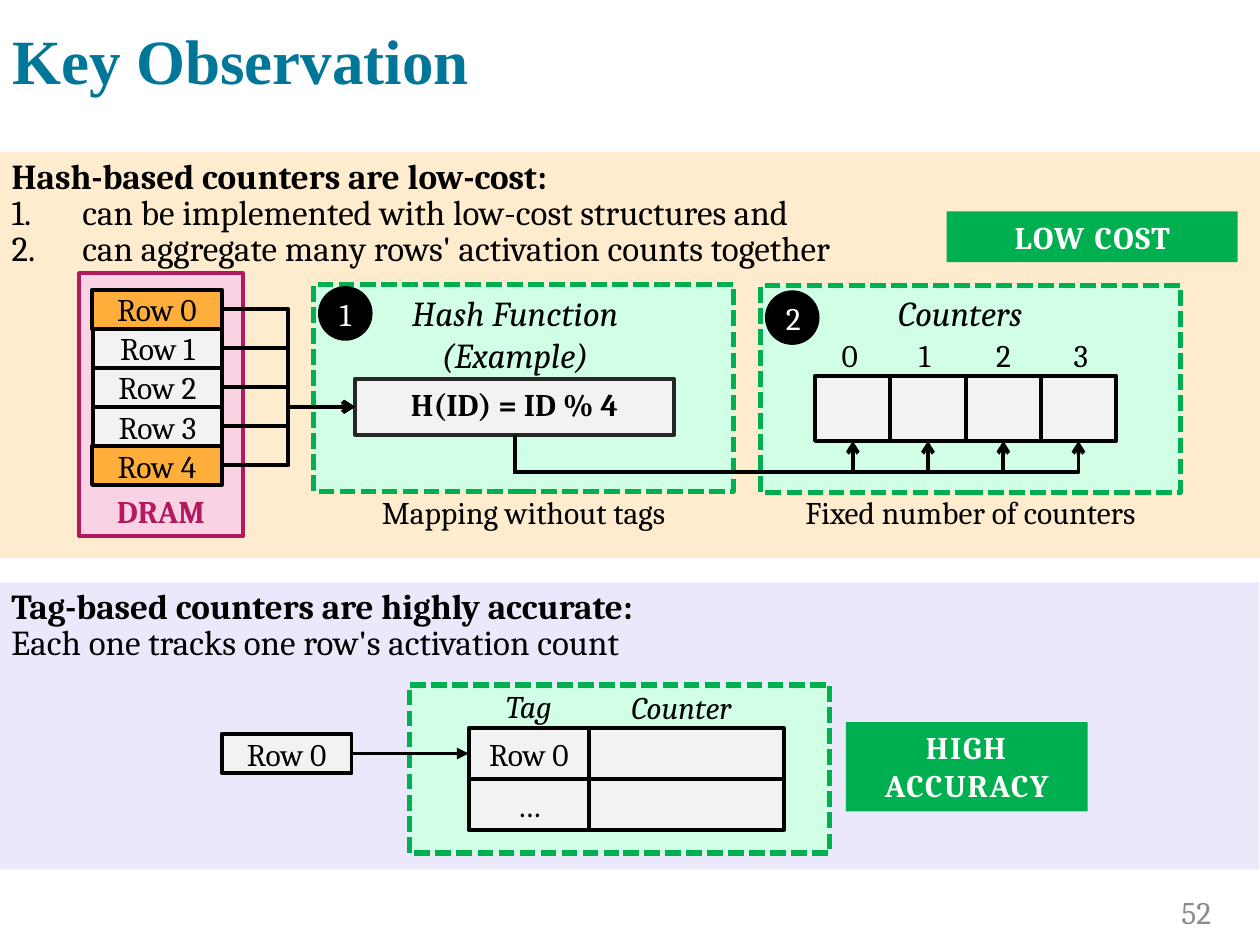
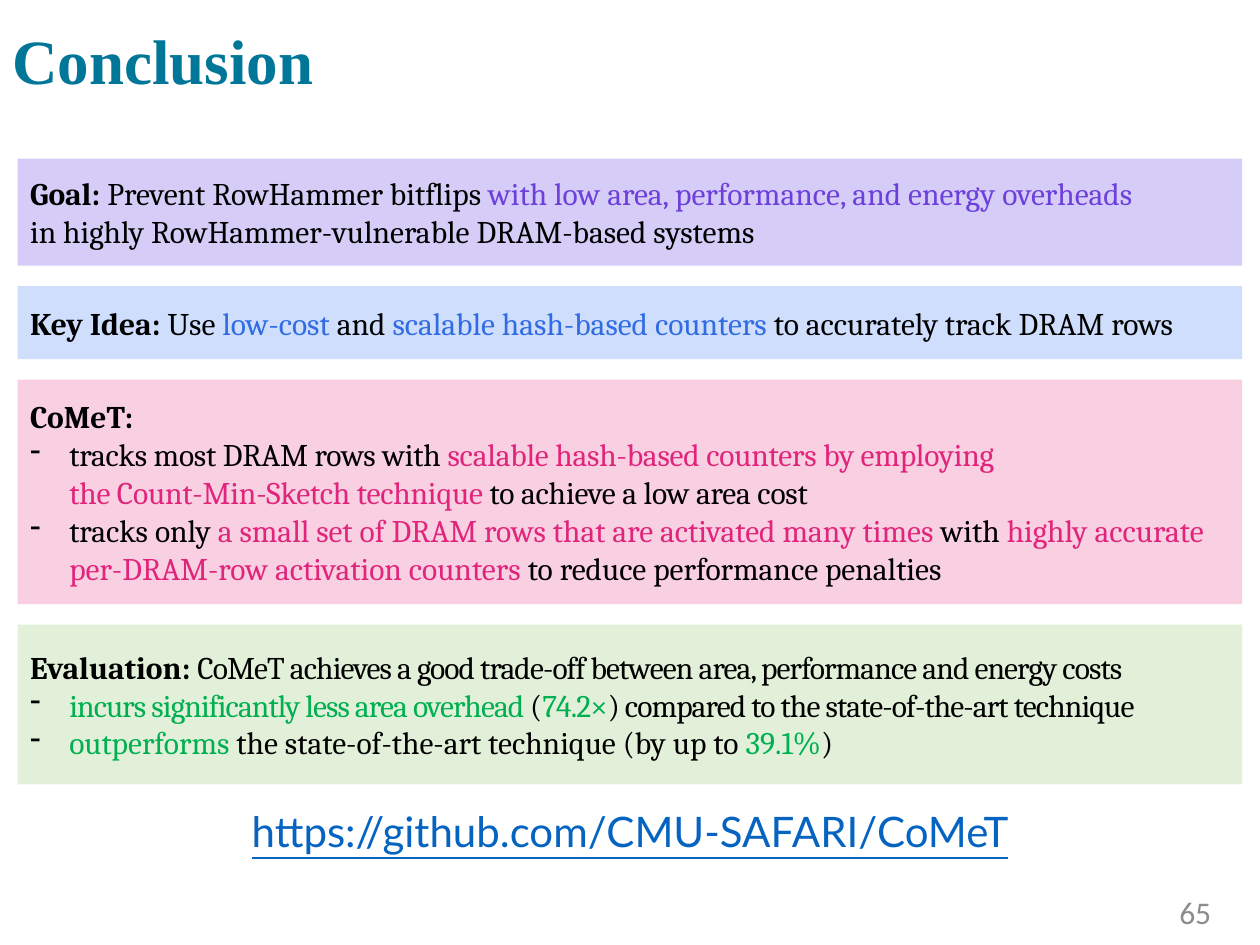
from dataclasses import dataclass

from lxml import etree
from pptx import Presentation
from pptx import util as u
from pptx.dml.color import RGBColor
from pptx.enum import dml, shapes, text
from pptx.oxml.ns import qn

Pt = u.Pt
LEFT, CENTER, RIGHT = text.PP_ALIGN.LEFT, text.PP_ALIGN.CENTER, text.PP_ALIGN.RIGHT
TOP, MIDDLE, BOTTOM = (text.MSO_ANCHOR.TOP, text.MSO_ANCHOR.MIDDLE,
                       text.MSO_ANCHOR.BOTTOM)


@dataclass(frozen=True)
class Theme:
    # Fonts and sizes
    body_font: str = "Cambria"
    title_font: str = "Times New Roman"
    link_font: str = "Lato"
    number_font: str = "Calibri"
    title: int = 36
    link: int = 24
    lead: int = 20
    body: int = 18
    stroke: float = 2.25
    # Colours
    black: str = "000000"
    white: str = "FFFFFF"
    teal: str = "007698"
    gray: str = "8C8C8C"
    cell: str = "F2F2F2"
    charcoal: str = "262626"
    cream: str = "FFEBCD"
    lavender: str = "ECE8FC"
    mint: str = "D1FFE6"
    green: str = "00B050"
    orange: str = "FFAE3C"
    rose: str = "F9D3E4"
    crimson: str = "B3195F"
    url: str = "0563C1"
    violet: str = "6D40DC"
    violet_card: str = "D5CDF7"
    blue: str = "316CE3"
    blue_card: str = "CFDEFD"
    pink: str = "E1257C"
    pink_card: str = "F9CFE2"
    green_card: str = "E2F0D9"


T = Theme()


def rgb(code):
    return RGBColor.from_string(code)


def add_bullet(p, mark, indent):
    """Give the paragraph a hanging number ("1.") or a character bullet."""
    pPr = p._p.get_or_add_pPr()
    pPr.set("marL", str(Pt(indent)))
    pPr.set("indent", str(-Pt(indent)))
    if mark == "1.":
        etree.SubElement(pPr, qn("a:buAutoNum"), type="arabicPeriod")
    else:
        color = etree.SubElement(pPr, qn("a:buClr"))
        etree.SubElement(color, qn("a:srgbClr"), val=T.black)
        etree.SubElement(pPr, qn("a:buChar"), char=mark)


def write(tf, content, first=True, size=T.body, font=T.body_font, color=T.black,
          bold=False, italic=False, underline=False, track=0, align=LEFT,
          spacing=None, bullet=None, indent=22.4):
    """Write one paragraph; content is a string or (string, format) runs."""
    p = tf.paragraphs[0] if first else tf.add_paragraph()
    if bullet:
        add_bullet(p, bullet, indent)
    p.alignment = align
    if spacing:
        p.line_spacing = spacing
    runs = [(content, {})] if isinstance(content, str) else content
    for words, fmt in runs:
        for i, line in enumerate(words.split("\n")):
            if i:
                p.add_line_break()
            if not line:
                continue
            r = p.add_run()
            r.text = line
            r.font.name, r.font.size = font, Pt(size)
            r.font.bold = fmt.get("bold", bold)
            r.font.italic, r.font.underline = italic, underline
            r.font.color.rgb = rgb(fmt.get("color", color))
            spc = fmt.get("track", track)
            if spc:
                r._r.get_or_add_rPr().set("spc", str(round(spc * 100)))


class Deck:
    def __init__(self):
        self.prs = Presentation()
        self.prs.slide_width, self.prs.slide_height = Pt(720), Pt(540)
        self.s = None

    def slide(self, title, number, number_font=T.body_font):
        self.s = self.prs.slides.add_slide(self.prs.slide_layouts[6])
        self.label(0, 0, 720, 73.4, title, anchor=MIDDLE, size=T.title,
                   font=T.title_font, color=T.teal, bold=True, spacing=0.9)
        self.label(661, 513.4, 38.2, 15.8, number, anchor=MIDDLE, align=RIGHT,
                   color=T.gray, font=number_font)

    def label(self, x, y, w, h, content=None, anchor=TOP, wrap=True, **fmt):
        sp = self.s.shapes.add_textbox(Pt(x), Pt(y), Pt(w), Pt(h))
        tf = sp.text_frame
        tf.word_wrap, tf.vertical_anchor = wrap, anchor
        if content:
            write(tf, content, **fmt)
        return tf

    def box(self, x, y, w, h, fill, content=None, line=None, width=T.stroke,
            dash=None, kind=shapes.MSO_SHAPE.RECTANGLE, anchor=MIDDLE,
            align=CENTER, **fmt):
        sp = self.s.shapes.add_shape(kind, Pt(x), Pt(y), Pt(w), Pt(h))
        sp.shadow.inherit = False
        sp.fill.solid()
        sp.fill.fore_color.rgb = rgb(fill)
        if line:
            sp.line.color.rgb = rgb(line)
            sp.line.width = Pt(width)
            if dash:
                sp.line.dash_style = dash
        else:
            sp.line.fill.background()
        sp.text_frame.vertical_anchor = anchor
        if content:
            write(sp.text_frame, content, align=align, **fmt)
        return sp

    def cell(self, x, y, w, h, content=None, fill=T.cell, **fmt):
        return self.box(x, y, w, h, fill, content, line=T.black, **fmt)

    def panel(self, x, y, w, h):
        self.box(x, y, w, h, T.mint, line=T.green, width=3,
                 dash=dml.MSO_LINE.SQUARE_DOT)

    def badge(self, x, y, number):
        self.box(x, y, 30.2, 30.2, T.black, number, line=T.black, width=1,
                 kind=shapes.MSO_SHAPE.OVAL, color=T.white)

    def tag(self, x, y, w, h, words):
        self.box(x, y, w, h, T.green, words, anchor=TOP, color=T.white,
                 bold=True, track=1)

    def _connector(self, kind, x1, y1, x2, y2, head):
        c = self.s.shapes.add_connector(kind, Pt(x1), Pt(y1), Pt(x2), Pt(y2))
        c.line.color.rgb = rgb(T.black)
        c.line.width = Pt(T.stroke)
        etree.SubElement(c.line._get_or_add_ln(), qn("a:tailEnd"), type=head)
        etree.SubElement(c._element.spPr, qn("a:effectLst"))
        return c

    def link(self, start, end, kind=shapes.MSO_CONNECTOR.STRAIGHT, head="triangle"):
        """Join the right side of one box to the left side of another."""
        c = self._connector(kind, 0, 0, 1, 1, head)
        c.begin_connect(start, 3)
        c.end_connect(end, 1)

    def under(self, x1, y1, x2, y2, drop):
        """Elbow that leaves downwards, runs right and ends upwards."""
        depth, span = y2 - y1, x2 - x1
        left, top = (x1 + x2 - depth) / 2, (y1 + y2 - span) / 2
        c = self._connector(shapes.MSO_CONNECTOR.ELBOW, left, top,
                            left + depth, top + span, "arrow")
        spPr = c._element.spPr
        spPr.xfrm.set("rot", "16200000")
        spPr.xfrm.set("flipH", "1")
        geom = spPr.find(qn("a:prstGeom"))
        guides = geom.find(qn("a:avLst"))
        if guides is None:
            guides = etree.SubElement(geom, qn("a:avLst"))
        etree.SubElement(guides, qn("a:gd"), name="adj1",
                         fmla=f"val {round(drop / depth * 100000)}")


def observation(d):
    d.slide("Key Observation", "52")

    # Tag-based counters
    d.box(-0.5, 332.8, 720, 164, T.lavender)
    tf = d.label(-0.5, 334, 720, 48)
    write(tf, "Tag-based counters are highly accurate:", size=T.lead, bold=True,
          spacing=0.85)
    write(tf, "Each one tracks one row's activation count", first=False,
          size=T.lead, spacing=0.85)
    d.panel(234, 391.4, 240, 96)
    d.tag(483.4, 412.6, 138.2, 51, "HIGH ACCURACY")
    tags = []
    for i, name in enumerate(("Row 0", "…")):
        y = 416.2 + 29.2 * i
        d.cell(336.8, y, 111.2, 28.8)
        tags.append(d.cell(267.8, y, 69, 28.8, name))
    row = d.cell(126.7, 419.4, 74.2, 22.4, "Row 0")
    d.link(row, tags[0])
    d.label(267.8, 389, 69, 28.8, "Tag", align=CENTER, italic=True)
    d.label(334.6, 389.5, 109.4, 28.8, "Counter", align=CENTER, italic=True)

    # Hash-based counters: band and panels
    d.box(0, 86.6, 720, 232.4, T.cream)
    parts = ((179.2, 162.7, 164, "1", "Mapping without tags"),
             (434.6, 163.2, 166.4, "2", "Fixed number of counters"))
    for x, y, badge_y, number, caption in parts:
        d.panel(x, y, 240, 118.1)
        d.label(x, 278, 240, 28.8, caption, align=CENTER)
        d.badge(x + 3, badge_y, number)

    # Hash function
    hash_box = d.box(202.8, 216.6, 182.4, 31.8, T.cell, "H(ID) = ID % 4",
                     line=T.charcoal, anchor=TOP, bold=True)
    tf = d.label(208, 163.2, 172.8, 55.6)
    for i, words in enumerate(("Hash Function", "(Example)")):
        write(tf, words, first=i == 0, size=T.lead, italic=True, align=CENTER)

    # DRAM rows; the first and last are highlighted
    d.box(45.2, 156.1, 93.6, 150.3, T.rose, "DRAM", line=T.crimson,
          anchor=BOTTOM, color=T.crimson, bold=True)
    rows = []
    for i in (1, 2, 3, 0, 4):
        hot = i in (0, 4)
        rows.append(d.cell(52.6 if hot else 53.2, 165.6 + 22.3 * i,
                           74.2 if hot else 73.6, 22.3, f"Row {i}",
                           fill=T.orange if hot else T.cell))
    for row in rows:
        d.link(row, hash_box, shapes.MSO_CONNECTOR.ELBOW, "arrow")

    # Counters
    d.label(506.2, 163.2, 88.6, 31.7, "Counters", wrap=False, size=T.lead,
            italic=True)
    for i in range(4):
        x = 465.8 + 43 * i
        d.label(473.8 + 44.2 * i, 188.6, 20.2, 28.8, str(i))
        d.cell(x, 214.6, 43, 37.4)
        d.under(294, 248.4, x + 21.5, 252, drop=21.3)

    # Claim
    tf = d.label(-0.5, 85, 722, 72.7)
    write(tf, "Hash-based counters are low-cost:", size=T.lead, bold=True)
    for words in ("can be implemented with low-cost structures and",
                  "can aggregate many rows' activation counts together"):
        write(tf, words, first=False, size=T.lead, spacing=0.85, bullet="1.",
              indent=40.5)
    d.tag(541, 120.8, 166.3, 29, "LOW COST")


def conclusion(d):
    d.slide("Conclusion", "65", T.number_font)
    d.label(31, 460, 658, 28.8, "https://github.com/CMU-SAFARI/CoMeT",
            align=CENTER, size=T.link, font=T.link_font, color=T.url,
            underline=True, spacing=0.9)

    # Run formats
    bold, plain = {"bold": True}, {}
    violet, blue, pink, green = ({"color": c} for c in
                                 (T.violet, T.blue, T.pink, T.green))
    tight, tight_green = {"track": -0.5}, {"track": -0.5, **green}
    snug, snug_pink = {"track": -0.1}, {"track": -0.1, **pink}

    # Cards: height, fill, heading, bullets
    cards = (
        (61.2, T.violet_card,
         [("Goal: ", bold), ("Prevent RowHammer bitflips ", plain),
          ("with low area, performance, and energy overheads\n", violet),
          ("in highly RowHammer-vulnerable DRAM-based systems", plain)], []),
        (41.6, T.blue_card,
         [("Key Idea: ", bold), ("Use ", plain), ("low-cost ", blue),
          ("and ", plain), ("scalable hash-based counters ", blue),
          ("to accurately track DRAM rows", plain)], []),
        (128.2, T.pink_card, [("CoMeT:", bold)],
         [[("tracks most DRAM rows with ", snug),
           ("scalable hash-based counters by employing\n"
            "the Count-Min-Sketch technique ", snug_pink),
           ("to achieve a low area cost", snug)],
          [("tracks only ", plain),
           ("a small set of DRAM rows that are activated many times ", pink),
           ("with ", plain),
           ("highly accurate per-DRAM-row activation counters ", pink),
           ("to reduce performance penalties", plain)]]),
        (91.2, T.green_card,
         [("Evaluation: ", bold),
          ("CoMeT achieves a good trade-off between area, performance "
           "and energy costs", tight)],
         [[("incurs significantly less area overhead ", tight_green),
           ("(", tight), ("74.2×", tight_green),
           (") compared to the state-of-the-art technique", tight)],
          [("outperforms", green),
           (" the state-of-the-art technique (by up to ", plain),
           ("39.1%", green), (")", plain)]]),
    )
    y = 90.6
    for height, fill, heading, bullets in cards:
        sp = d.box(10.1, y, 699.8, height, fill, heading, align=LEFT)
        for runs in bullets:
            write(sp.text_frame, runs, first=False, bullet="-")
        y += height + 11.8


def main():
    d = Deck()
    observation(d)
    conclusion(d)
    d.prs.save("out.pptx")


if __name__ == "__main__":
    main()
